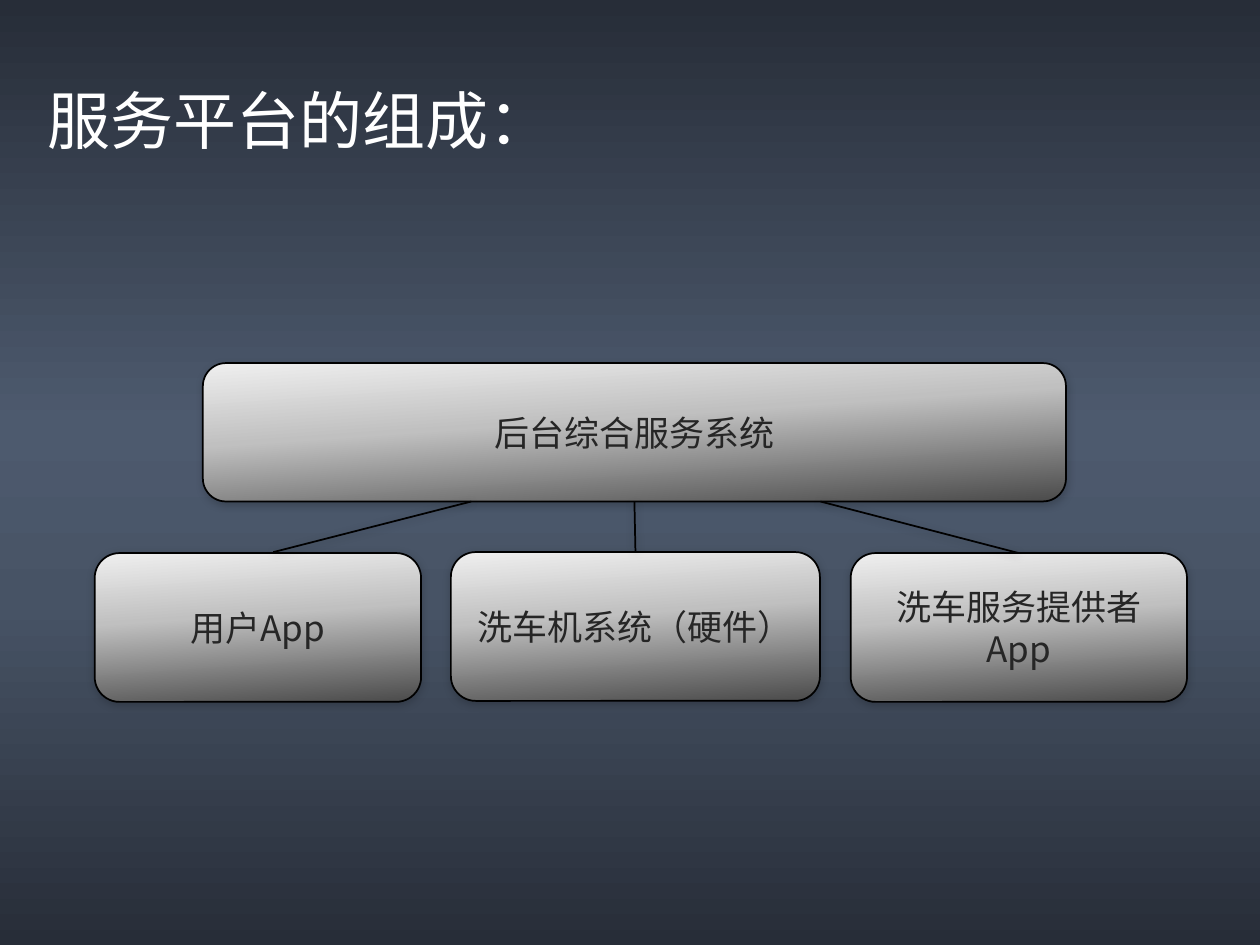
from dataclasses import dataclass
from typing import Optional

from pptx import Presentation
from pptx.dml.color import RGBColor
from pptx.enum.shapes import MSO_CONNECTOR, MSO_SHAPE
from pptx.enum.text import MSO_ANCHOR, MSO_AUTO_SIZE, PP_ALIGN
from pptx.oxml.ns import qn
from pptx.util import Cm, Pt
from lxml.etree import SubElement


@dataclass(frozen=True)
class Theme:
    font: str = "Noto Sans CJK JP"
    title_size: int = 36
    box_size: int = 20
    title_color: str = "FFFFFF"
    box_color: str = "262626"
    line_color: str = "000000"
    line_width: float = 1
    backdrop: tuple = ((0, "272D38"), (45, "4D5A6E"), (64, "475365"), (100, "272D38"))
    metal: tuple = ((0, "EFEFEF"), (42, "C0C0C0"), (100, "4B4B4B"))


@dataclass(frozen=True)
class Component:
    """One box of the platform, in centimetres."""
    label: str
    left: float
    top: float
    width: float
    height: float


@dataclass(frozen=True)
class Link:
    """A line from a component up to the back end; None joins the side's middle."""
    component: Component
    start: Optional[tuple[float, float]] = None
    end: Optional[tuple[float, float]] = None


THEME = Theme()
USER = Component("用户App", 1.91, 11.15, 6.58, 3)
HARDWARE = Component("洗车机系统（硬件）", 9.09, 11.13, 7.44, 3)
BACKEND = Component("后台综合服务系统", 4.09, 7.32, 17.4, 2.79)
PROVIDER = Component("洗车服务提供者App", 17.15, 11.15, 6.78, 3)
LINKS = (
    Link(USER, start=(5.51, 11.13), end=(9.5, 10.11)),
    Link(PROVIDER, end=(16.54, 10.11)),
    Link(HARDWARE),
)
TOP, BOTTOM = 0, 2  # connection sites


def write(frame, text: str, *, size: float, color: str, align, anchor, wrap: bool) -> None:
    frame.word_wrap = wrap
    frame.vertical_anchor = anchor
    paragraph = frame.paragraphs[0]
    paragraph.alignment = align
    run = paragraph.add_run()
    run.text = text
    run.font.size = Pt(size)
    run.font.name = THEME.font
    run.font.color.rgb = RGBColor.from_string(color)
    SubElement(run.font._element, qn("a:ea"), typeface=THEME.font)


def paint_gradient(owner, fill, stops: tuple, angle: int) -> None:
    fill.gradient()
    fill.gradient_angle = 360 - angle
    stop_list = next(owner.iter(qn("a:gsLst")))
    for old_stop in list(stop_list):
        stop_list.remove(old_stop)
    for position, color in stops:
        stop = SubElement(stop_list, qn("a:gs"), pos=str(position * 1000))
        SubElement(stop, qn("a:srgbClr"), val=color)


def outline_with_shadow(shape) -> None:
    shape.line.color.rgb = RGBColor.from_string(THEME.line_color)
    shape.line.width = Pt(THEME.line_width)
    effects = SubElement(shape._element.spPr, qn("a:effectLst"))
    shadow = SubElement(effects, qn("a:outerShdw"), blurRad=str(Pt(5)),
                        dist=str(Pt(1)), dir=str(90 * 60000), rotWithShape="0")
    color = SubElement(shadow, qn("a:srgbClr"), val=THEME.line_color)
    SubElement(color, qn("a:alpha"), val="20000")


def draw_component(slide, item: Component):
    box = slide.shapes.add_shape(MSO_SHAPE.ROUNDED_RECTANGLE, Cm(item.left), Cm(item.top),
                                 Cm(item.width), Cm(item.height))
    paint_gradient(box._element, box.fill, THEME.metal, 86)
    outline_with_shadow(box)
    write(box.text_frame, item.label, size=THEME.box_size, color=THEME.box_color,
          align=PP_ALIGN.CENTER, anchor=MSO_ANCHOR.MIDDLE, wrap=True)
    return box


def draw_link(slide, link: Link, boxes: dict) -> None:
    start, end = link.start or (0, 0), link.end or (0, 0)
    line = slide.shapes.add_connector(MSO_CONNECTOR.STRAIGHT, *map(Cm, start + end))
    if link.start is None:
        line.begin_connect(boxes[link.component], TOP)
    if link.end is None:
        line.end_connect(boxes[BACKEND], BOTTOM)
    outline_with_shadow(line)


def main() -> None:
    deck = Presentation()
    deck.slide_width, deck.slide_height = Cm(25.4), Cm(19.05)
    slide = deck.slides.add_slide(deck.slide_layouts[5])
    paint_gradient(slide._element, slide.background.fill, THEME.backdrop, 90)

    # Title
    title = slide.shapes.title
    title.left, title.top, title.width, title.height = map(Cm, (0.71, 1.52, 10.77, 1.8))
    write(title.text_frame, "服务平台的组成：", size=THEME.title_size,
          color=THEME.title_color, align=PP_ALIGN.LEFT, anchor=MSO_ANCHOR.TOP, wrap=False)
    title.text_frame.auto_size = MSO_AUTO_SIZE.SHAPE_TO_FIT_TEXT

    # Platform components and the lines between them
    boxes = {item: draw_component(slide, item)
             for item in (USER, HARDWARE, BACKEND, PROVIDER)}
    for link in LINKS:
        draw_link(slide, link, boxes)

    deck.save("out.pptx")


if __name__ == "__main__":
    main()
